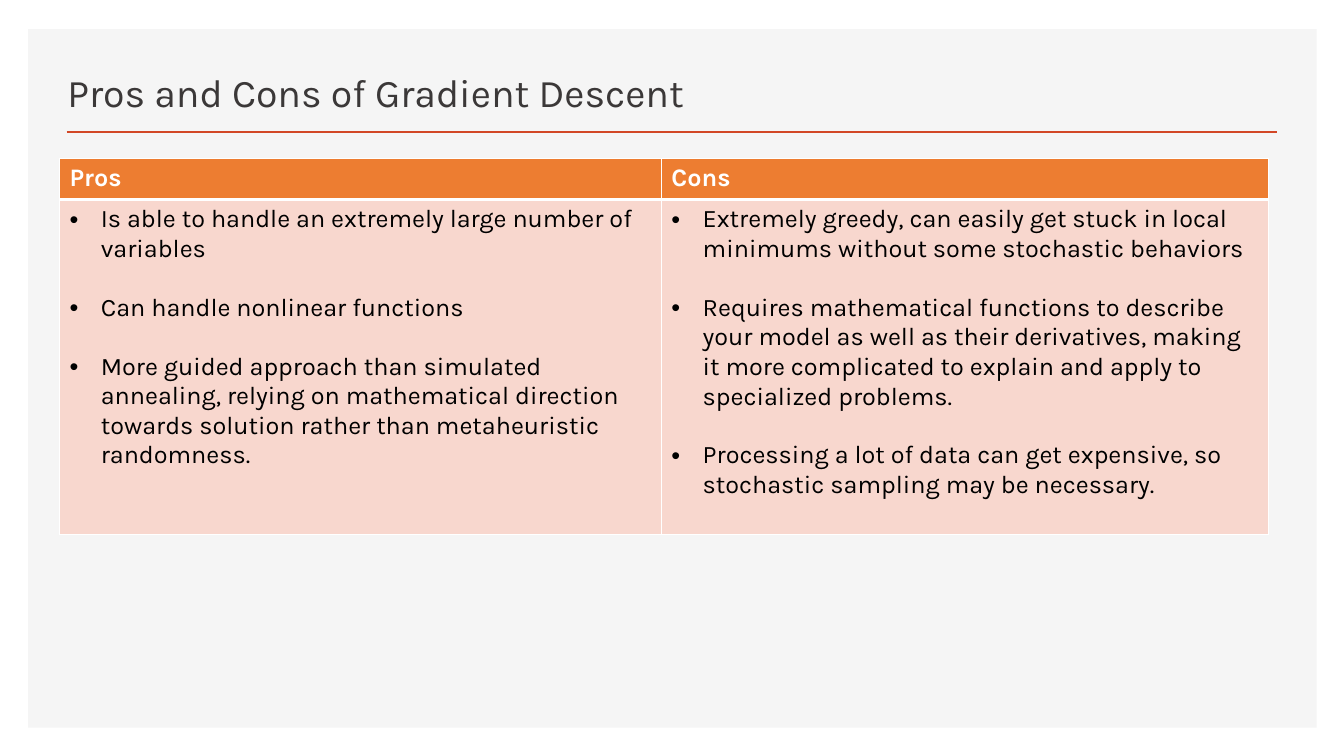
from lxml import etree
from pptx import Presentation, util as u
from pptx.dml.color import RGBColor
from pptx.enum import shapes, text
from pptx.oxml import ns

TITLE = "Pros and Cons of Gradient Descent"
COLUMNS = {
    "Pros": [
        "Is able to handle an extremely large number of variables",
        "Can handle nonlinear functions",
        "More guided approach than simulated annealing, relying on mathematical "
        "direction towards solution rather than metaheuristic randomness.",
    ],
    "Cons": [
        "Extremely greedy, can easily get stuck in local minimums without some "
        "stochastic behaviors",
        "Requires mathematical functions to describe your model as well as their "
        "derivatives, making it more complicated to explain and apply to "
        "specialized problems.",
        "Processing a lot of data can get expensive, so stochastic sampling may "
        "be necessary.",
    ],
}
COLUMN_WIDTHS = (5.97, 6.02)
ROW_HEIGHTS = (0.41, 3.32)
BULLET_INDENT = u.Inches(0.31)

WHITE = RGBColor(0xFF, 0xFF, 0xFF)
BLACK = RGBColor(0, 0, 0)
PANEL = RGBColor(0xF5, 0xF5, 0xF5)
RULE = RGBColor(0xD2, 0x47, 0x26)
TITLE_INK = RGBColor(0x3B, 0x38, 0x38)
HEADER_FILL = RGBColor(0xED, 0x7D, 0x31)
BODY_FILL = RGBColor(0xF8, 0xD7, 0xCE)

TITLE_FORMAT = {"name": "Karla", "size": u.Pt(28), "bold": False}
HEADER_FORMAT = {"name": "Karla", "size": u.Pt(18), "bold": True}
BODY_FORMAT = {"name": "Karla", "size": u.Pt(18), "bold": False}


def write(para, words, formats, color):
    span = para.add_run()
    span.text = words
    for key, value in formats.items():
        setattr(span.font, key, value)
    span.font.color.rgb = color


def add_bullet(para):
    props = para._p.get_or_add_pPr()
    props.set("marL", str(BULLET_INDENT))
    props.set("indent", str(-BULLET_INDENT))
    etree.SubElement(props, ns.qn("a:buFont")).set("typeface", "Arial")
    etree.SubElement(props, ns.qn("a:buChar")).set("char", "•")


def style_cell(cell, fill, top, bottom):
    """Draw white borders, thickness in points, and then the fill."""
    props = cell._tc.get_or_add_tcPr()
    for side, points in {"L": 1, "R": 1, "T": top, "B": bottom}.items():
        line = etree.SubElement(props, ns.qn(f"a:ln{side}"), w=str(u.Pt(points)))
        solid = etree.SubElement(line, ns.qn("a:solidFill"))
        etree.SubElement(solid, ns.qn("a:srgbClr"), val=str(WHITE))
    cell.fill.solid()
    cell.fill.fore_color.rgb = fill


def add_backdrop(page):
    panel = page.shapes.add_shape(
        shapes.MSO_SHAPE.RECTANGLE,
        *map(u.Inches, (0.28, 0.29, 12.78, 6.93)))
    panel.shadow.inherit = False
    panel.fill.solid()
    panel.fill.fore_color.rgb = PANEL
    panel.line.fill.background()

    rule = page.shapes.add_connector(
        shapes.MSO_CONNECTOR.STRAIGHT,
        *map(u.Inches, (0.66, 1.31, 12.67, 1.31)))
    rule.line.color.rgb = RULE
    rule.line.width = u.Pt(2)
    etree.SubElement(rule._element.spPr, ns.qn("a:effectLst"))


def add_title(page):
    box = page.shapes.add_textbox(*map(u.Inches, (0.57, 0.49, 8.34, 0.7)))
    frame = box.text_frame
    frame.word_wrap = True
    frame.vertical_anchor = text.MSO_ANCHOR.BOTTOM
    write(frame.paragraphs[0], TITLE, TITLE_FORMAT, TITLE_INK)


def add_comparison(page):
    size = (sum(COLUMN_WIDTHS), sum(ROW_HEIGHTS))
    table = page.shapes.add_table(
        2, len(COLUMNS), *map(u.Inches, (0.59, 1.57, *size))).table
    for row, height in zip(table.rows, ROW_HEIGHTS):
        row.height = u.Inches(height)
    for index, (heading, points) in enumerate(COLUMNS.items()):
        table.columns[index].width = u.Inches(COLUMN_WIDTHS[index])
        header, body = table.cell(0, index), table.cell(1, index)
        style_cell(header, HEADER_FILL, top=1, bottom=3)
        style_cell(body, BODY_FILL, top=3, bottom=1)
        write(header.text_frame.paragraphs[0], heading, HEADER_FORMAT, WHITE)
        for number, point in enumerate(points):
            frame = body.text_frame
            para = frame.add_paragraph() if number else frame.paragraphs[0]
            add_bullet(para)
            if number:
                para.space_before = u.Pt(21)
            write(para, point, BODY_FORMAT, BLACK)


def main():
    deck = Presentation()
    deck.slide_width, deck.slide_height = u.Inches(13.33), u.Inches(7.5)
    page = deck.slides.add_slide(deck.slide_layouts[6])
    add_backdrop(page)
    add_title(page)
    add_comparison(page)
    deck.save("out.pptx")


if __name__ == "__main__":
    main()
